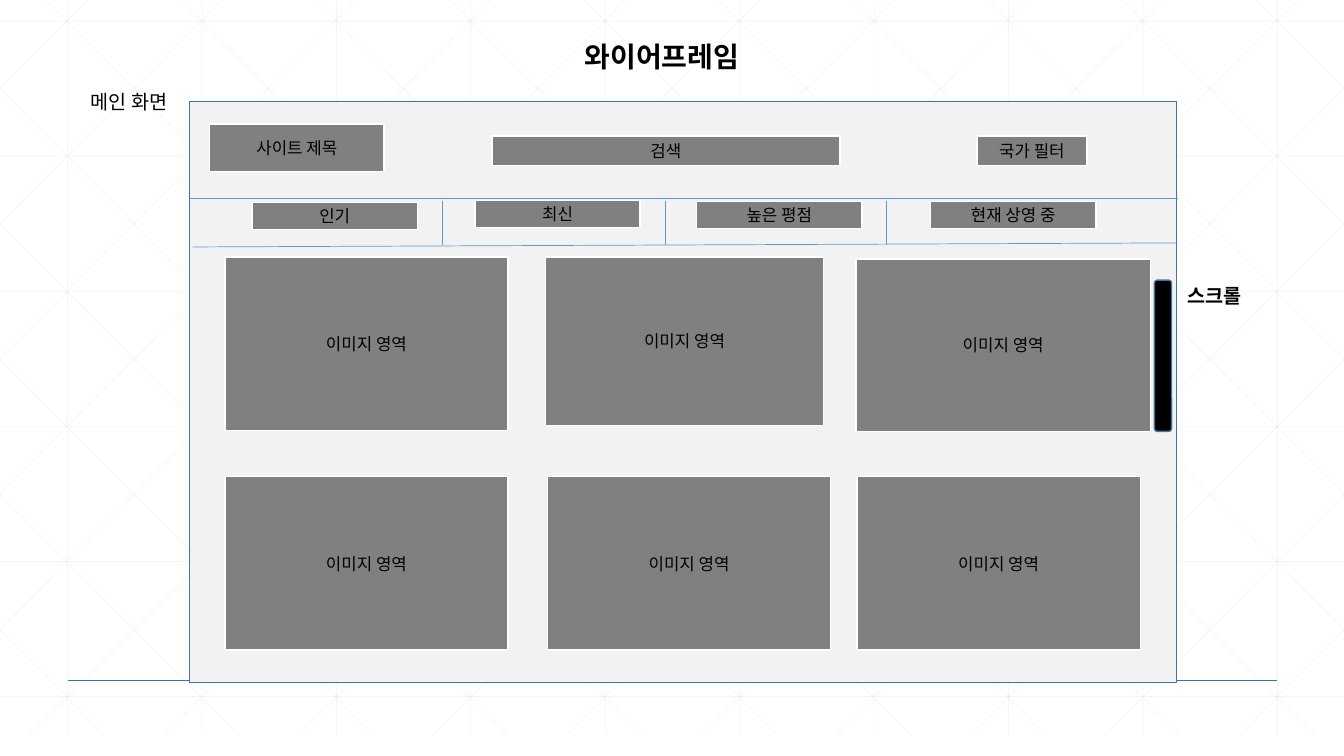
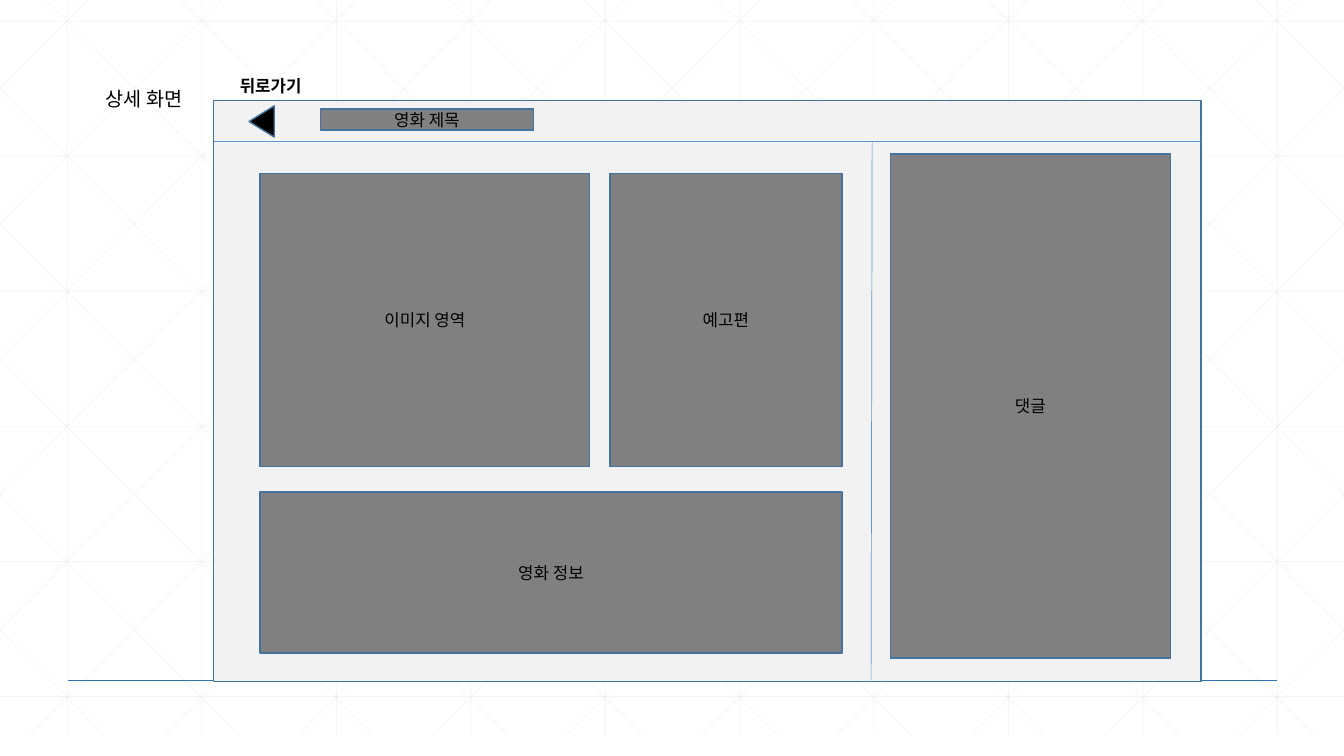
"""Build the two wireframe slides of a film site."""
from dataclasses import dataclass

from lxml import etree
from pptx import Presentation
from pptx import util as u
from pptx.dml import color
from pptx.enum import shapes, text
from pptx.oxml import ns


@dataclass(frozen=True)
class Theme:
    """Colours, type sizes and line widths of the deck."""
    font: str = "Calibri"
    ink: str = "000000"
    panel: str = "F2F2F2"
    block: str = "808080"
    white: str = "FFFFFF"
    outline: str = "43739E"
    divider: str = "5B9BD5"
    baseline: str = "2E75B6"
    grid: str = "D9D9D9"
    grid_opacity: int = 25
    title_size: int = 20
    label_size: int = 14
    body_size: int = 12
    thin: float = 0.5
    medium: float = 1


WIDTH, HEIGHT = 13.33, 7.5
GRID_BOTTOM = 7.29
GRID_STEP = 4 / 3
RECTANGLE = shapes.MSO_SHAPE.RECTANGLE


class Wireframe:
    """Hold the style and the current slide."""

    def __init__(self, theme):
        """Start an empty deck."""
        self.theme = theme
        self.presentation = Presentation()
        self.presentation.slide_width = u.Inches(WIDTH)
        self.presentation.slide_height = u.Inches(HEIGHT)
        self.slide = None

    def new_slide(self):
        """Add a blank slide with the background grid and the baseline."""
        theme = self.theme
        self.slide = self.presentation.slides.add_slide(
            self.presentation.slide_layouts[6])
        background = self.slide.background.fill
        background.solid()
        background.fore_color.rgb = color.RGBColor.from_string(theme.white)
        self.grid()
        self.line((0.67, 6.75), (12.67, 6.75), theme.baseline, theme.medium)

    def grid(self):
        """Draw the faint square and diagonal grid as one group."""
        segments = []
        for column in range(10):
            x = 0.67 + GRID_STEP * column
            segments.append(((x, 0), (x, GRID_BOTTOM)))
        for row in range(6):
            y = 0.21 + 1.34 * row
            segments.append(((0, y), (WIDTH, y)))
        run = 7.24
        slope = GRID_BOTTOM / run
        for step in range(-5, 10):
            origin = 0.46 + GRID_STEP * step
            left, right = max(origin, 0), min(origin + run, WIDTH)
            top, bottom = (slope * (x - origin) for x in (left, right))
            segments.append(((left, top), (right, bottom)))
            segments.append(((WIDTH - left, top), (WIDTH - right, bottom)))
        group = self.slide.shapes.add_group_shape()
        for start, end in segments:
            connector = self.line(start, end, self.theme.grid,
                                  self.theme.thin, group.shapes)
            for paint in connector.element.iter(ns.qn("a:srgbClr")):
                alpha = etree.SubElement(paint, ns.qn("a:alpha"))
                alpha.set("val", str(self.theme.grid_opacity * 1000))

    def line(self, start, end, paint, width, parent=None):
        """Draw a straight line on the slide or in a group."""
        parent = self.slide.shapes if parent is None else parent
        connector = parent.add_connector(
            shapes.MSO_CONNECTOR.STRAIGHT,
            *(u.Inches(value) for value in (*start, *end)))
        connector.line.color.rgb = color.RGBColor.from_string(paint)
        connector.line.width = u.Pt(width)
        etree.SubElement(connector.element.spPr, ns.qn("a:effectLst"))
        return connector

    def divider(self, start, end):
        """Draw a thin line between two areas of the screen."""
        self.line(start, end, self.theme.divider, self.theme.thin)

    def shape(self, place, fill, outline=None, kind=RECTANGLE):
        """Draw a filled, outlined preset shape."""
        shape = self.slide.shapes.add_shape(
            kind, *(u.Inches(value) for value in place))
        shape.shadow.inherit = False
        shape.fill.solid()
        shape.fill.fore_color.rgb = color.RGBColor.from_string(fill)
        shape.line.color.rgb = color.RGBColor.from_string(
            outline or self.theme.outline)
        shape.line.width = u.Pt(self.theme.medium)
        return shape

    def block(self, words, place, outline=None):
        """Draw a grey placeholder block with a centred caption."""
        frame = self.shape(place, self.theme.block, outline).text_frame
        frame.word_wrap = True
        frame.vertical_anchor = text.MSO_ANCHOR.MIDDLE
        frame.paragraphs[0].alignment = text.PP_ALIGN.CENTER
        self.run(frame.paragraphs[0], words, self.theme.body_size)

    def label(self, words, place, size, bold=False):
        """Add a free-standing text."""
        box = self.slide.shapes.add_textbox(
            *(u.Inches(value) for value in place))
        frame = box.text_frame
        frame.word_wrap = True
        frame.auto_size = text.MSO_AUTO_SIZE.SHAPE_TO_FIT_TEXT
        self.run(frame.paragraphs[0], words, size, bold)

    def run(self, paragraph, words, size, bold=False):
        """Add one run of text."""
        run = paragraph.add_run()
        run.text = words
        run.font.name = self.theme.font
        run.font.size = u.Pt(size)
        run.font.bold = bold
        run.font.color.rgb = color.RGBColor.from_string(self.theme.ink)


def main_screen(deck):
    """Build the slide of the main screen."""
    theme = deck.theme
    deck.new_slide()
    deck.label("와이어프레임", (5.7, 0.34, 2.2, 0.44), theme.title_size, True)
    deck.label("메인 화면", (0.8, 0.84, 1.63, 0.34), theme.label_size)
    deck.shape((1.88, 1.01, 9.79, 5.76), theme.panel)

    header = (("사이트 제목", (2.08, 1.23, 1.73, 0.47)),
              ("검색", (4.88, 1.35, 3.45, 0.29)),
              ("국가 필터", (9.69, 1.35, 1.09, 0.29)))
    for words, place in header:
        deck.block(words, place, theme.white)

    deck.divider((1.88, 1.97), (11.68, 1.97))
    deck.divider((1.91, 2.45), (11.68, 2.41))
    for x in (4.39, 6.6, 8.79):
        deck.divider((x, 1.99), (x, 2.43))
    tabs = (("인기", 2.5, 2.01), ("최신", 4.71, 1.99),
            ("높은 평점", 6.91, 2), ("현재 상영 중", 9.23, 2))
    for words, left, top in tabs:
        deck.block(words, (left, top, 1.64, 0.27), theme.white)

    images = ((2.23, 2.55, 2.81, 1.72), (5.41, 2.55, 2.76, 1.67),
              (8.49, 2.57, 2.92, 1.71),
              *((left, 4.73, 2.81, 1.72) for left in (2.23, 5.43, 8.5)))
    for place in images:
        deck.block("이미지 영역", place, theme.white)

    deck.label("스크롤", (11.68, 2.77, 1.14, 0.34), theme.label_size, True)
    deck.shape((11.45, 2.78, 0.17, 1.5), theme.ink,
               kind=shapes.MSO_SHAPE.ROUNDED_RECTANGLE)


def detail_screen(deck):
    """Build the slide of the detail screen."""
    theme = deck.theme
    deck.new_slide()
    deck.shape((2.12, 1, 9.79, 5.76), theme.panel)
    deck.label("상세 화면", (0.95, 0.81, 1.63, 0.34), theme.label_size)
    deck.divider((2.12, 1.4), (11.91, 1.4))
    deck.divider((8.65, 1.4), (8.64, 6.75))

    back_arrow = deck.shape((2.44, 1.08, 0.31, 0.25), theme.ink,
                            kind=shapes.MSO_SHAPE.ISOSCELES_TRIANGLE)
    back_arrow.rotation = 270
    deck.label("뒤로가기", (2.28, 0.7, 1.01, 0.3), theme.body_size, True)

    areas = (("영화 제목", (3.18, 1.08, 2.11, 0.21)),
             ("이미지 영역", (2.58, 1.72, 3.27, 2.91)),
             ("예고편", (6.05, 1.72, 2.3, 2.91)),
             ("영화 정보", (2.58, 4.88, 5.77, 1.6)),
             ("댓글", (8.83, 1.53, 2.78, 5)))
    for words, place in areas:
        deck.block(words, place)


def main():
    """Build and save the deck."""
    deck = Wireframe(Theme())
    main_screen(deck)
    detail_screen(deck)
    deck.presentation.save("out.pptx")


if __name__ == "__main__":
    main()
